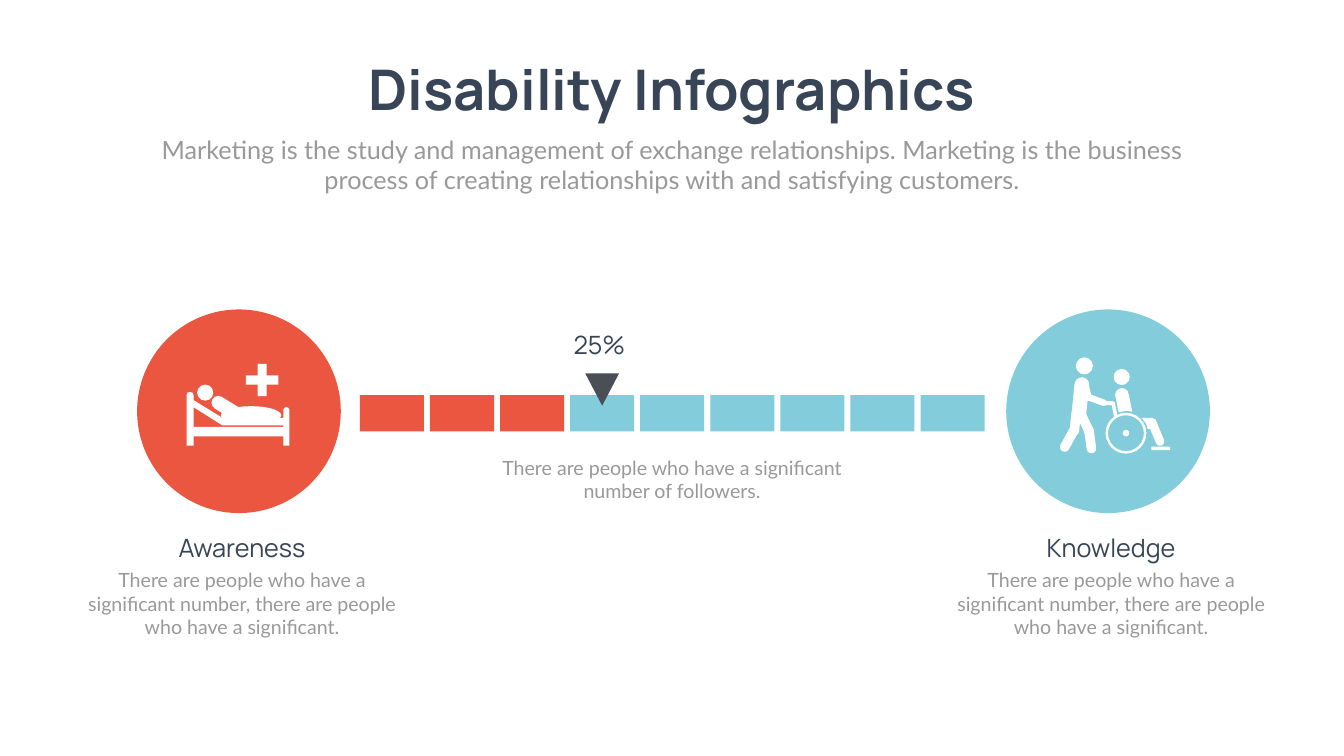
import dataclasses
import math

import pptx
import pptx.dml.color
import pptx.enum.shapes
import pptx.enum.text
import pptx.util

PX = 9144
MSO = pptx.enum.shapes.MSO_SHAPE


@dataclasses.dataclass(frozen=True)
class Theme:
    paper: str = "FEFFFE"
    white: str = "FFFFFF"
    navy: str = "374556"
    grey: str = "999999"
    red: str = "EB5640"
    blue: str = "82CCDB"
    marker: str = "4A4E57"
    heading_font: str = "Manrope"
    body_font: str = "Lato"
    title_size: int = 80
    lead_size: int = 36
    note_size: int = 28


T = Theme()
TITLE = dict(name=T.heading_font, size=pptx.util.Pt(T.title_size), bold=True)
LABEL = dict(name=T.heading_font, size=pptx.util.Pt(T.lead_size), bold=False)
LEAD = dict(name=T.body_font, size=pptx.util.Pt(T.lead_size), bold=False)
NOTE = dict(name=T.body_font, size=pptx.util.Pt(T.note_size), bold=False)
FRAME = dict(word_wrap=True, auto_size=pptx.enum.text.MSO_AUTO_SIZE.NONE,
             vertical_anchor=pptx.enum.text.MSO_ANCHOR.TOP)
PARAGRAPH = dict(alignment=pptx.enum.text.PP_ALIGN.CENTER, line_spacing=1.0,
                 space_before=pptx.util.Pt(0))


def rgb(color):
    return pptx.dml.color.RGBColor.from_string(color)


def apply(obj, values):
    for name, value in values.items():
        setattr(obj, name, value)


def emu(*lengths):
    return [round(length * PX) for length in lengths]


def write(sp, text, style, color):
    tf = sp.text_frame
    apply(tf, FRAME)
    p = tf.paragraphs[0]
    apply(p, PARAGRAPH)
    r = p.add_run()
    r.text = text
    apply(r.font, style)
    r.font.color.rgb = rgb(color)


def fill_placeholder(sp, box, text, style, color):
    apply(sp, dict(zip(("left", "top", "width", "height"), emu(*box))))
    write(sp, text, style, color)


def add_text(shapes, box, text, style, color):
    write(shapes.add_textbox(*emu(*box)), text, style, color)


def paint(sp, color):
    sp.shadow.inherit = False
    sp.fill.solid()
    sp.fill.fore_color.rgb = rgb(color)
    sp.line.fill.background()
    return sp


def add_preset(shapes, kind, box, color=T.white):
    return paint(shapes.add_shape(kind, *emu(*box)), color)


def add_disc(shapes, x, y, size, color=T.white):
    return add_preset(shapes, MSO.OVAL, (x, y, size, size), color)


def add_limb(shapes, x1, y1, x2, y2, width):
    length = math.hypot(x2 - x1, y2 - y1) + width
    box = ((x1 + x2 - length) / 2, (y1 + y2 - width) / 2, length, width)
    sp = add_preset(shapes, MSO.ROUNDED_RECTANGLE, box)
    sp.adjustments[0] = 0.5
    sp.rotation = math.degrees(math.atan2(y2 - y1, x2 - x1))


def add_outline(shapes, *contours):
    first, *holes = contours
    fb = shapes.build_freeform(*first[0], scale=float(PX))
    fb.add_line_segments(first[1:], close=True)
    for hole in holes:
        fb.move_to(*hole[0])
        fb.add_line_segments(hole[1:], close=True)
    paint(fb.convert_to_shape(), T.white)


def draw_bed(shapes):
    frame = [(574, 813), (574, 884), (562, 884), (562, 866), (384, 866),
             (384, 884), (370, 884), (370, 784), (372, 779), (377, 778),
             (382, 779), (384, 784), (384, 794), (441, 829), (562, 829),
             (562, 813), (564, 809), (568, 808), (572, 809)]
    gap = [(562, 847), (562, 844), (441, 844), (384, 808), (384, 847)]
    add_outline(shapes, frame, gap)
    add_preset(shapes, MSO.OVAL, (438, 806, 120, 36))
    add_disc(shapes, 391, 763, 32)
    add_limb(shapes, 433, 799, 480, 828, 27)
    cross = add_preset(shapes, MSO.CROSS, (488, 722, 64, 64))
    cross.adjustments[0] = 0.36


def draw_helper(shapes):
    add_disc(shapes, 2134, 709, 34)
    for limb in [(2146, 763, 2140, 822, 29),
                 (2152, 758, 2159, 789, 13), (2159, 788, 2189, 799, 13),
                 (2135, 819, 2131, 855, 19), (2130, 854, 2112, 887, 19),
                 (2144, 821, 2160, 855, 19), (2160, 854, 2165, 890, 19)]:
        add_limb(shapes, *limb)


def draw_wheelchair(shapes):
    for disc in [(2209, 732, 32), (2212, 770, 27), (2227, 853, 13)]:
        add_disc(shapes, *disc)
    wheel = add_preset(shapes, MSO.DONUT, (2193, 819, 81, 81))
    wheel.adjustments[0] = 0.06
    torso = [(2213, 788), (2215, 783), (2235, 779), (2239, 782),
             (2246, 817), (2234, 815), (2219, 818)]
    thigh = [(2265, 829), (2285, 829), (2292, 832), (2295, 840),
             (2292, 848), (2285, 851), (2277, 851), (2273, 840)]
    for part in (torso, thigh):
        add_outline(shapes, part)
    add_limb(shapes, 2287, 842, 2301, 876, 17)
    add_limb(shapes, 2208, 800, 2213, 825, 7)
    for bar in [(2187, 796, 20, 8), (2284, 886, 37, 7)]:
        add_preset(shapes, MSO.RECTANGLE, bar)


def draw_progress(shapes, total=9, done=3):
    add_text(shapes, (1077, 648, 224, 71), "25%", LABEL, T.navy)
    for i in range(total):
        color = T.red if i < done else T.blue
        add_preset(shapes, MSO.RECTANGLE, (714 + 139 * i, 784, 127, 72), color)
    add_preset(shapes, MSO.FLOWCHART_MERGE, (1161, 741, 67, 64), T.marker)
    add_text(shapes, (980, 899, 706, 104),
             "There are people who have a significant number of followers.",
             NOTE, T.grey)


def draw_topic(shapes, x, name, color, *icons):
    add_disc(shapes, x + 129, 614, 404, color)
    icon = shapes.add_group_shape().shapes
    for draw in icons:
        draw(icon)
    add_text(shapes, (x + 185, 1052, 304, 71), name, LABEL, T.navy)
    add_text(shapes, (x, 1122, 674, 151),
             "There are people who have a significant number, "
             "there are people who have a significant.", NOTE, T.grey)


def main():
    prs = pptx.Presentation()
    prs.slide_width, prs.slide_height = emu(2666, 1500)
    s = prs.slides.add_slide(prs.slide_layouts[0])
    s.background.fill.solid()
    s.background.fill.fore_color.rgb = rgb(T.paper)
    title, lead = s.placeholders
    fill_placeholder(title, (671, 104, 1324, 162), "Disability Infographics",
                     TITLE, T.navy)
    fill_placeholder(lead, (292, 261, 2082, 131),
                     "Marketing is the study and management of exchange "
                     "relationships. Marketing is the business process of "
                     "creating relationships with and satisfying customers.",
                     LEAD, T.grey)
    draw_progress(s.shapes)
    draw_topic(s.shapes, 143, "Awareness", T.red, draw_bed)
    draw_topic(s.shapes, 1867, "Knowledge", T.blue, draw_helper, draw_wheelchair)
    prs.save("out.pptx")


if __name__ == "__main__":
    main()
